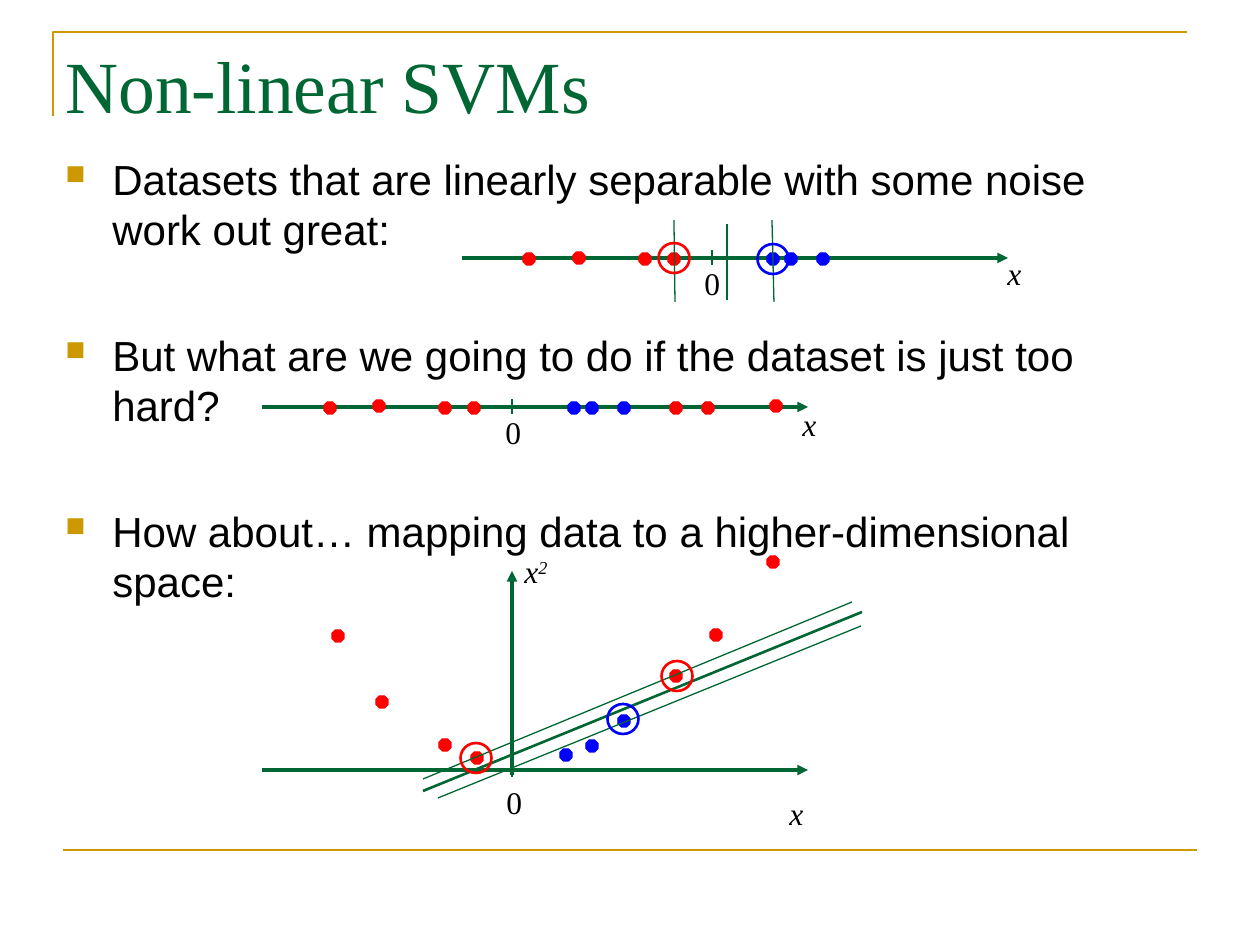
"""Build the slide on mapping non-linear SVM data to a higher dimension."""
import pptx
import pptx.util
import pptx.dml.color
import pptx.enum.shapes
import pptx.enum.text
import pptx.oxml.ns
from lxml import etree

PX = 914400 / 126
COLORS = {"gold": "CC9900", "green": "006633", "red": "FF0000", "blue": "0000FF", "black": "000000"}
SERIF, SANS = "Times New Roman", "Arial"
DOT, RING_W, RING_H, TICK = 12, 31, 30, 15

TITLE = "Non-linear SVMs"
BULLETS = [
    "Datasets that are linearly separable with some noise work out great:",
    "But what are we going to do if the dataset is just too hard?",
    "How about… mapping data to a higher-dimensional space:",
]
DIAGRAMS = [
    {
        "axis": (462, 258), "zero": (692, 258), "x": (995, 248),
        "red": [(529, 259), (579, 258), (645, 259), (674, 259)],
        "blue": [(773, 259), (791, 259), (823, 259)],
        "rings": [("blue", 773, 259), ("red", 674, 258)],
        "boundary": (727, 224, 727, 300),
        "margins": [(774, 302, 772, 220), (675, 302, 674, 220)],
    },
    {
        "axis": (262, 407), "zero": (493, 407), "x": (790, 399),
        "red": [(330, 408), (379, 406), (445, 408), (474, 408), (676, 408), (708, 408), (776, 406)],
        "blue": [(574, 408), (592, 408), (624, 408)],
    },
    {
        "axis": (262, 770), "zero": (494, 777), "x": (777, 788),
        "red": [(338, 636), (382, 702), (445, 745), (477, 758), (676, 676), (716, 635), (773, 562)],
        "blue": [(566, 755), (592, 746), (624, 721)],
        "rings": [("red", 677, 676), ("blue", 623, 719), ("red", 476, 758)],
        "boundary": (423, 791, 862, 612),
        "margins": [(423, 779, 852, 602), (438, 798, 861, 626)],
        "square_axis": (512, 775, 512, 571), "square": (512, 546),
    },
]
AXIS_LENGTH, ORIGIN = 546, 250

deck = pptx.Presentation()
deck.slide_width, deck.slide_height = pptx.util.Inches(10), pptx.util.Inches(7.5)
slide = deck.slides.add_slide(deck.slide_layouts[6])


def emu(*lengths):
    return [pptx.util.Emu(round(length * PX)) for length in lengths]


def rgb(name):
    return pptx.dml.color.RGBColor.from_string(COLORS[name])


def child(parent, tag, **attributes):
    return etree.SubElement(parent, pptx.oxml.ns.qn(tag), attributes)


def add_line(ends, width, color="green", arrow=False):
    line = slide.shapes.add_connector(pptx.enum.shapes.MSO_CONNECTOR.STRAIGHT, *emu(*ends))
    line.line.color.rgb = rgb(color)
    line.line.width = pptx.util.Pt(width)
    if arrow:
        child(line.line._get_or_add_ln(), "a:tailEnd", type="triangle")
    child(line._element.spPr, "a:effectLst")


def add_mark(kind, center, size, color, width, filled):
    (x, y), (w, h) = center, size
    mark = slide.shapes.add_shape(kind, *emu(x - w / 2, y - h / 2, w, h))
    mark.shadow.inherit = False
    mark.line.color.rgb = rgb(color)
    mark.line.width = pptx.util.Pt(width)
    if filled:
        mark.fill.solid()
        mark.fill.fore_color.rgb = rgb(color)
    else:
        mark.fill.background()


def add_frame(box, anchor=pptx.enum.text.MSO_ANCHOR.TOP):
    frame = slide.shapes.add_textbox(*emu(*box)).text_frame
    frame.word_wrap = True
    frame.vertical_anchor = anchor
    return frame


def add_run(paragraph, text, size, font=SERIF, color="black", italic=False):
    run = paragraph.add_run()
    run.text = text
    style = {"size": pptx.util.Pt(size), "name": font, "italic": italic}
    for key, value in style.items():
        setattr(run.font, key, value)
    run.font.color.rgb = rgb(color)
    return run


def add_label(text, place, width=63, italic=True):
    paragraph = add_frame((*place, width, 50)).paragraphs[0]
    paragraph.space_before = pptx.util.Pt(11.2)
    add_run(paragraph, text, 18, italic=italic)
    return paragraph


def add_bullets():
    frame = add_frame((53, 147, 1134, 693))
    for index, text in enumerate(BULLETS):
        paragraph = frame.paragraphs[0] if index == 0 else frame.add_paragraph()
        paragraph.space_before = pptx.util.Pt(43 if index else 6)
        add_run(paragraph, text, 24, SANS)
        properties = paragraph._p.get_or_add_pPr()
        indent = emu(47)[0]
        properties.set("marL", str(indent))
        properties.set("indent", str(-indent))
        child(child(properties, "a:buClr"), "a:srgbClr", val=COLORS["gold"])
        child(properties, "a:buSzPct", val="65000")
        child(properties, "a:buChar", char="■")


def add_diagram(diagram):
    x, y = diagram["axis"]
    add_line((x, y, x + AXIS_LENGTH, y), 2, arrow=True)
    add_line((x + ORIGIN, y - TICK / 2, x + ORIGIN, y + TICK / 2), 0.75)
    for color in ("red", "blue"):
        for center in diagram[color]:
            add_mark(pptx.enum.shapes.MSO_SHAPE.OCTAGON, center, (DOT, DOT), color, 0.75, True)
    if "square_axis" in diagram:
        add_line(diagram["square_axis"], 2, arrow=True)
        square = add_label("x", diagram["square"])
        add_run(square, "2", 18, italic=True).font._element.set("baseline", "30000")
    if "boundary" in diagram:
        add_line(diagram["boundary"], 1.5)
    for ends in diagram.get("margins", []):
        add_line(ends, 0.75)
    for color, *center in diagram.get("rings", []):
        add_mark(pptx.enum.shapes.MSO_SHAPE.OVAL, center, (RING_W, RING_H), color, 1.5, False)
    add_label("0", diagram["zero"], 47, italic=False)
    add_label("x", diagram["x"])


corner = slide.shapes.build_freeform(53, 116, scale=PX)
corner.add_line_segments([(53, 32), (1187, 32)], close=False)
border = corner.convert_to_shape()
border.shadow.inherit = False
border.fill.background()
border.line.color.rgb = rgb("gold")
border.line.width = pptx.util.Pt(1.5)
add_line((63, 850, 1197, 850), 1.5, "gold")

heading = add_frame((53, 32, 662, 105), pptx.enum.text.MSO_ANCHOR.MIDDLE)
add_run(heading.paragraphs[0], TITLE, 42, color="green")
add_bullets()
for diagram in DIAGRAMS:
    add_diagram(diagram)

deck.save("out.pptx")
